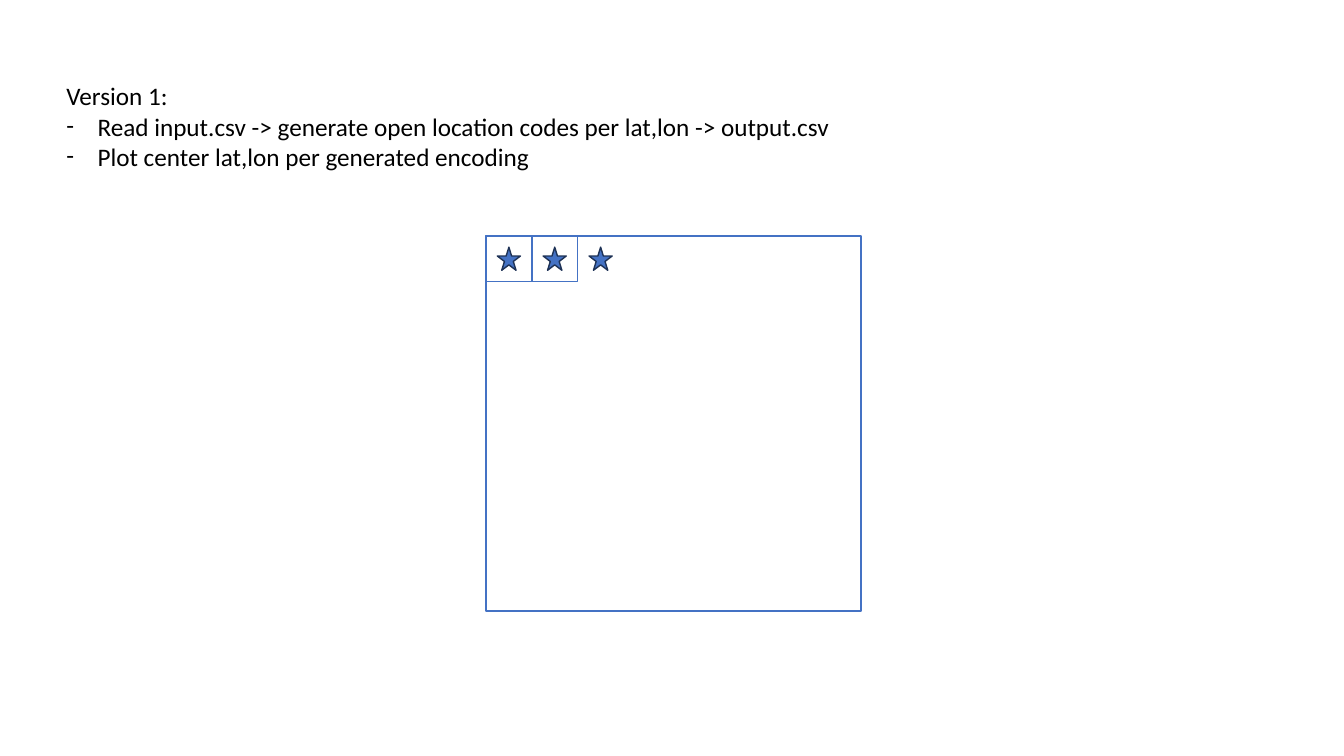
from pptx import Presentation
from pptx import util as u
from pptx.dml.color import RGBColor
from pptx.enum import shapes, text
from lxml import etree


def add_text(p, content, size=18, color="000000", bullet=None, indent=0.31):
    r = p.add_run()
    r.text = content
    r.font.size = u.Pt(size)
    r.font.name = "Calibri"
    r.font.color.rgb = RGBColor.from_string(color)
    if bullet:
        pPr = p._p.get_or_add_pPr()
        pPr.set("marL", str(u.Inches(indent)))
        pPr.set("indent", str(-u.Inches(indent)))
        ns = pPr.nsmap["a"]
        etree.SubElement(pPr, f"{{{ns}}}buFont", typeface="Calibri")
        etree.SubElement(pPr, f"{{{ns}}}buChar", char=bullet)


def add_shape(kind, left, top, size, line, fill=None):
    sp = s.shapes.add_shape(kind, u.Inches(left), u.Inches(top), u.Inches(size), u.Inches(size))
    sp.shadow.inherit = False
    sp.line.color.rgb = RGBColor.from_string(line)
    sp.line.width = u.Pt(1)
    if fill:
        sp.fill.solid()
        sp.fill.fore_color.rgb = RGBColor.from_string(fill)
    else:
        sp.fill.background()


prs = Presentation()
prs.slide_width, prs.slide_height = u.Inches(13.33), u.Inches(7.5)
s = prs.slides.add_slide(prs.slide_layouts[6])

tb = s.shapes.add_textbox(u.Inches(0.56), u.Inches(0.75), u.Inches(7.87), u.Inches(1.01))
tf = tb.text_frame
tf.word_wrap = False
tf.auto_size = text.MSO_AUTO_SIZE.SHAPE_TO_FIT_TEXT
add_text(tf.paragraphs[0], "Version 1:")
for step in (
    "Read input.csv -> generate open location codes per lat,lon -> output.csv",
    "Plot center lat,lon per generated encoding",
):
    add_text(tf.add_paragraph(), step, bullet="-")

left, top, cell, star = 4.82, 2.34, 0.455, 0.23
blue, navy = "4472C4", "1E3256"
inset = (cell - star) / 2

add_shape(shapes.MSO_SHAPE.RECTANGLE, left, top, 3.72, blue)
for col in range(2):
    add_shape(shapes.MSO_SHAPE.RECTANGLE, left + col * cell, top, cell, blue)
for col in range(3):
    add_shape(shapes.MSO_SHAPE.STAR_5_POINT, left + col * cell + inset, top + inset, star, navy, blue)

prs.save("out.pptx")
